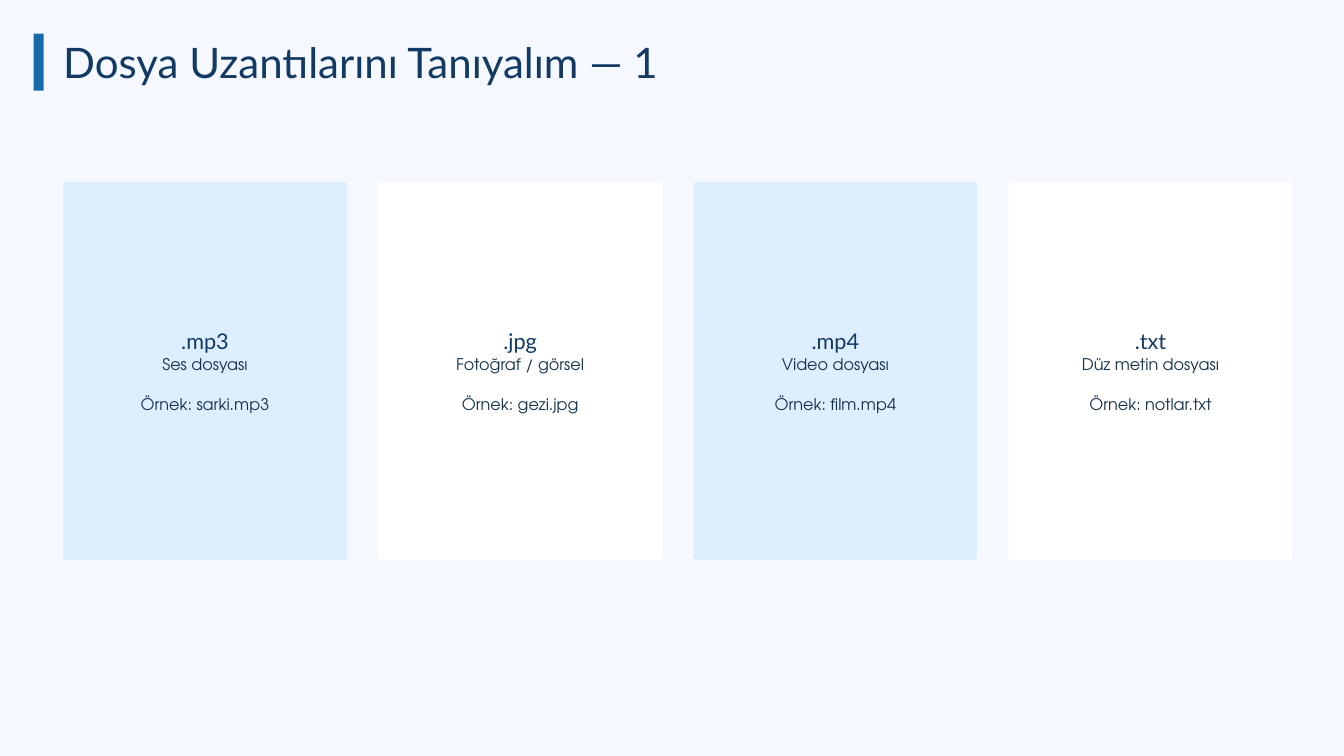
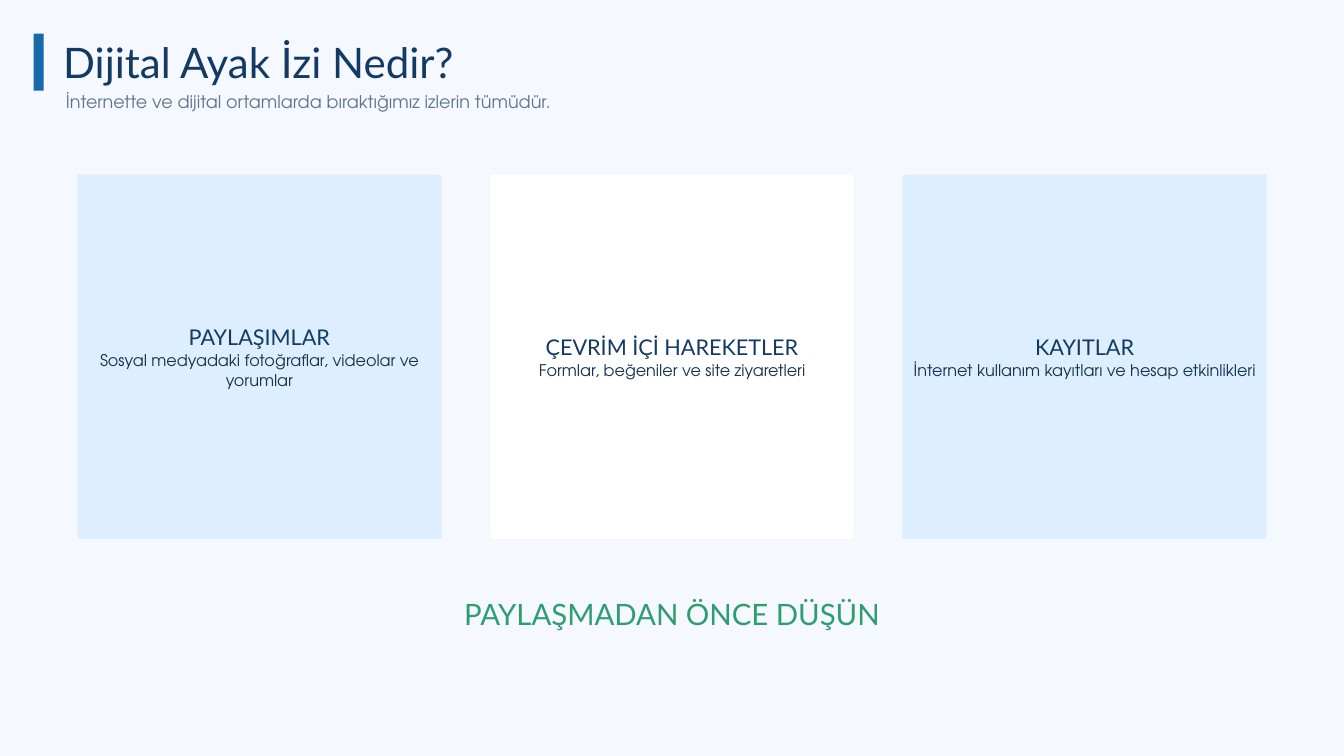
from pptx import Presentation
from pptx import util as u
from pptx.dml import color
from pptx.enum import shapes, text

NAVY, INK, GRAY = "123A63", "17324D", "60758A"
ACCENT, GREEN = "1769AA", "2F9E6F"
BACKGROUND, CARD_FILLS = "F5F8FF", ["DCEEFF", "FFFFFF"]
HEADING_FONT, BODY_FONT = "Lato", "TeX Gyre Adventor"
CENTER = text.PP_ALIGN.CENTER
CORNER_RADIUS = 0.04

pages = [
    {
        "title": "Dosya Uzantılarını Tanıyalım — 1",
        "left": 0.94, "top": 2.71, "width": 4.22, "height": 5.62, "gap": 0.47,
        "cards": [
            (".mp3", "Ses dosyası", "Örnek: sarki.mp3"),
            (".jpg", "Fotoğraf / görsel", "Örnek: gezi.jpg"),
            (".mp4", "Video dosyası", "Örnek: film.mp4"),
            (".txt", "Düz metin dosyası", "Örnek: notlar.txt"),
        ],
    },
    {
        "title": "Dijital Ayak İzi Nedir?",
        "subtitle": "İnternette ve dijital ortamlarda bıraktığımız izlerin tümüdür.",
        "left": 1.15, "top": 2.6, "width": 5.42, "height": 5.42, "gap": 0.72,
        "cards": [
            ("PAYLAŞIMLAR", "Sosyal medyadaki fotoğraflar, videolar ve yorumlar"),
            ("ÇEVRİM İÇİ HAREKETLER", "Formlar, beğeniler ve site ziyaretleri"),
            ("KAYITLAR", "İnternet kullanım kayıtları ve hesap etkinlikleri"),
        ],
        "slogan": "PAYLAŞMADAN ÖNCE DÜŞÜN",
    },
]


def paint(fill, value):
    fill.solid()
    fill.fore_color.rgb = color.RGBColor.from_string(value)


def write(shape, lines, inset=0, align=text.PP_ALIGN.LEFT):
    """Fill a shape with (words, size, font, colour, line spacing, space before)."""
    frame = shape.text_frame
    frame.word_wrap = True
    frame.margin_left = frame.margin_right = u.Inches(inset)
    frame.margin_top = frame.margin_bottom = u.Inches(inset)
    for index, (words, size, font, value, spacing, before) in enumerate(lines):
        para = frame.add_paragraph() if index else frame.paragraphs[0]
        para.text = words
        para.alignment = align
        para.line_spacing = u.Pt(spacing)
        para.space_before = u.Pt(before)
        para.font.size = u.Pt(size)
        para.font.name = font
        paint(para.font.fill, value)


deck = Presentation()
deck.slide_width, deck.slide_height = u.Inches(20), u.Inches(11.25)

for content in pages:
    page = deck.slides.add_slide(deck.slide_layouts[6])
    paint(page.background.fill, BACKGROUND)

    # Title, with its subtitle if there is one
    box = page.shapes.add_textbox(*map(u.Inches, (0.94, 0.64, 18.12, 0.68)))
    write(box, [(content["title"], 45, HEADING_FONT, NAVY, 47.2, 0)])
    if "subtitle" in content:
        box = page.shapes.add_textbox(*map(u.Inches, (0.98, 1.3, 15.62, 0.36)))
        write(box, [(content["subtitle"], 18.8, BODY_FONT, GRAY, 26.2, 0)])

    # Accent bar beside the title
    bar = page.shapes.add_shape(shapes.MSO_SHAPE.RECTANGLE,
                                *map(u.Inches, (0.5, 0.5, 0.15, 0.85)))
    bar.shadow.inherit = False
    bar.line.fill.background()
    paint(bar.fill, ACCENT)

    # Row of cards in alternating fills
    width, height = content["width"], content["height"]
    for column, (heading, description, *examples) in enumerate(content["cards"]):
        left = content["left"] + column * (width + content["gap"])
        card = page.shapes.add_shape(shapes.MSO_SHAPE.ROUNDED_RECTANGLE,
                                     *map(u.Inches, (left, content["top"], width, height)))
        card.adjustments[0] = CORNER_RADIUS / min(width, height)
        card.shadow.inherit = False
        card.line.fill.background()
        paint(card.fill, CARD_FILLS[column % 2])
        lines = [(heading, 23.2, HEADING_FONT, NAVY, 25.6, 0),
                 (description, 17.2, BODY_FONT, INK, 21.6, 0)]
        lines += [(example, 17.2, BODY_FONT, INK, 21.6, 21.6) for example in examples]
        write(card, lines, inset=0.06, align=CENTER)
        card.text_frame.margin_top = u.Inches(0.09)
        card.text_frame.vertical_anchor = text.MSO_ANCHOR.MIDDLE

    # Closing slogan
    if "slogan" in content:
        box = page.shapes.add_textbox(*map(u.Inches, (3.75, 8.79, 12.5, 0.58)))
        write(box, [(content["slogan"], 31.5, HEADING_FONT, GREEN, 44.1, 0)], align=CENTER)

deck.save("out.pptx")
